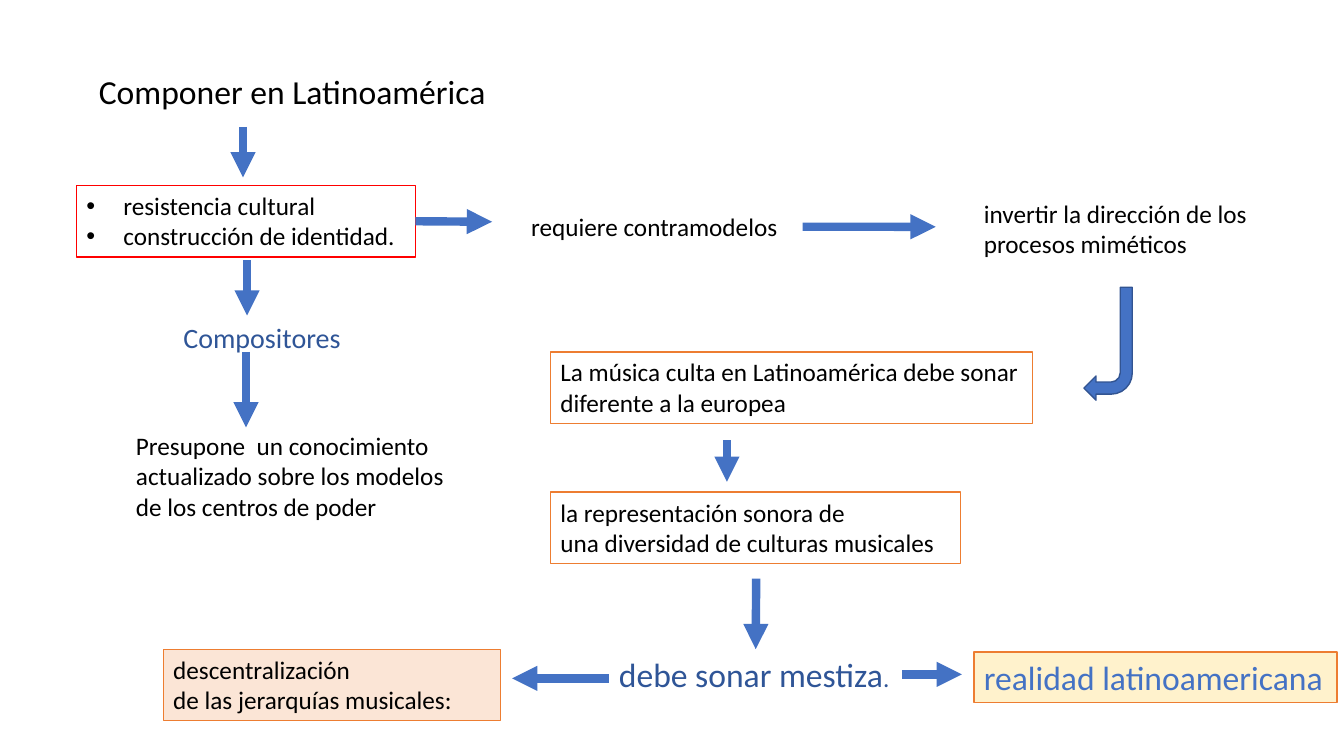
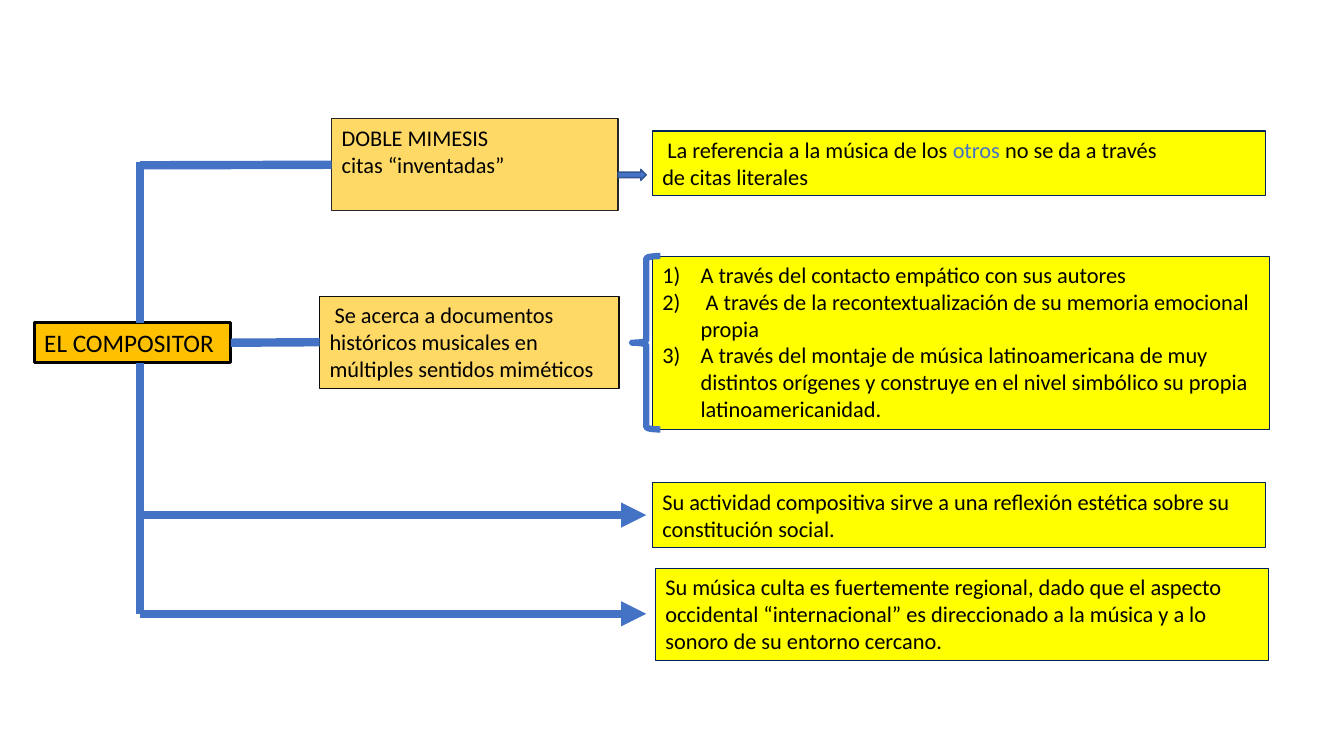
from dataclasses import dataclass
from typing import Optional

from lxml import etree
from pptx import Presentation
from pptx.dml.color import RGBColor
from pptx.enum import shapes, text
from pptx.oxml.ns import qn
from pptx.util import Inches, Pt

FONT = "Calibri"
BLACK, WHITE, BLUE, DARK_BLUE = "000000", "FFFFFF", "4472C4", "2F5597"
ARROW_EDGE, ORANGE, RED, NAVY = "325491", "ED7D31", "FF0000", "002060"
YELLOW, GOLD = "FFFF00", "FFD966"
TOP, LEFT, BOTTOM, RIGHT = range(4)
BULLET = ("buChar", "char", "•", 0.31)
NUMBER = ("buAutoNum", "type", "arabicParenR", 0.38)
TITLE_ONLY, BLANK = 5, 6


@dataclass
class Run:
    text: str
    color: str = BLACK
    size: Optional[int] = None


@dataclass
class Box:
    """A text block; each paragraph is a string or a list of runs."""
    name: str
    at: tuple
    paragraphs: list
    size: int = 18
    color: str = BLACK
    fill: Optional[str] = None
    line: Optional[str] = None
    width: float = 0.75
    wrap: bool = True
    marker: Optional[tuple] = None
    align: text.PP_ALIGN = text.PP_ALIGN.LEFT


@dataclass
class Link:
    """A line; begin and end may name a box and its side to join."""
    start: tuple
    stop: tuple
    begin: Optional[tuple] = None
    end: Optional[tuple] = None
    arrow: bool = True


@dataclass
class Ornament:
    kind: shapes.MSO_SHAPE
    at: tuple
    fill: Optional[str] = BLUE
    line: str = ARROW_EDGE
    width: float = 1
    rotation: int = 0


def rgb(color: str) -> RGBColor:
    return RGBColor.from_string(color)


def apply(target, **formats) -> None:
    for name, value in formats.items():
        setattr(target, name, value)


def paint(sp, fill: Optional[str], line: Optional[str], width: float) -> None:
    if fill:
        sp.fill.solid()
        sp.fill.fore_color.rgb = rgb(fill)
    else:
        sp.fill.background()
    if line:
        sp.line.color.rgb = rgb(line)
        sp.line.width = Pt(width)
    else:
        sp.line.fill.background()


def add_marker(p, marker: tuple) -> None:
    tag, attribute, value, indent = marker
    pPr = p._p.get_or_add_pPr()
    pPr.set("marL", str(Inches(indent)))
    pPr.set("indent", str(-Inches(indent)))
    if tag == "buChar":
        etree.SubElement(pPr, qn("a:buFont")).set("typeface", "Arial")
    etree.SubElement(pPr, qn("a:" + tag)).set(attribute, value)


def write(sp, box: Box) -> None:
    tf = sp.text_frame
    fit = text.MSO_AUTO_SIZE.NONE if box.wrap else text.MSO_AUTO_SIZE.SHAPE_TO_FIT_TEXT
    apply(tf, word_wrap=box.wrap, auto_size=fit, vertical_anchor=text.MSO_ANCHOR.TOP,
          margin_left=Inches(0.1), margin_right=Inches(0.1),
          margin_top=Inches(0.05), margin_bottom=Inches(0.05))
    for i, content in enumerate(box.paragraphs):
        p = tf.add_paragraph() if i else tf.paragraphs[0]
        p.alignment = box.align
        if box.marker:
            add_marker(p, box.marker)
        runs = [Run(content, box.color)] if isinstance(content, str) else content
        for run in runs:
            r = p.add_run()
            r.text = run.text
            apply(r.font, name=FONT, size=Pt(run.size or box.size))
            r.font.color.rgb = rgb(run.color)


def add_box(s, box: Box):
    at = [Inches(v) for v in box.at]
    if box.name == "title":
        sp = s.shapes.title
        apply(sp, **dict(zip(("left", "top", "width", "height"), at)))
    elif box.line:
        sp = s.shapes.add_shape(shapes.MSO_SHAPE.RECTANGLE, *at)
        sp.shadow.inherit = False
    else:
        sp = s.shapes.add_textbox(*at)
    paint(sp, box.fill, box.line, box.width)
    write(sp, box)
    return sp


def add_link(s, link: Link, drawn: dict) -> None:
    ends = [Inches(v) for v in link.start + link.stop]
    cn = s.shapes.add_connector(shapes.MSO_CONNECTOR.STRAIGHT, *ends)
    cn.line.color.rgb = rgb(BLUE)
    cn.line.width = Pt(6)
    if link.arrow:
        etree.SubElement(cn.line._get_or_add_ln(), qn("a:tailEnd")).set("type", "triangle")
    etree.SubElement(cn._element.spPr, qn("a:effectLst"))
    for join, target in ((cn.begin_connect, link.begin), (cn.end_connect, link.end)):
        if target:
            name, side = target
            join(drawn[name], side)


def add_ornament(s, item: Ornament) -> None:
    sp = s.shapes.add_shape(item.kind, *[Inches(v) for v in item.at])
    sp.shadow.inherit = False
    sp.rotation = item.rotation
    paint(sp, item.fill, item.line, item.width)


def build_slide(prs, layout: int, boxes: list, links: list, ornaments: list) -> None:
    s = prs.slides.add_slide(prs.slide_layouts[layout])
    drawn = {box.name: add_box(s, box) for box in boxes}
    for link in links:
        add_link(s, link, drawn)
    for item in ornaments:
        add_ornament(s, item)


def composing_slide(prs) -> None:
    boxes = [
        Box("title", (0.88, 0.65, 4.08, 0.5), ["Componer en Latinoamérica"], 24, wrap=False),
        Box("composers", (1.72, 3.13, 1.83, 0.44),
            [[Run("Compositores", DARK_BLUE), Run(" ", size=18)]], 20, wrap=False),
        Box("knowledge", (1.25, 4.22, 3.35, 1.01),
            ["Presupone  un conocimiento", "actualizado sobre los modelos",
             "de los centros de poder"], wrap=False),
        Box("resistance", (0.76, 1.84, 3.36, 0.71),
            [" resistencia cultural", " construcción de identidad."],
            line=RED, wrap=False, marker=BULLET),
        Box("countermodels", (5.17, 2.05, 2.79, 0.4), ["requiere contramodelos"], wrap=False),
        Box("inversion", (9.66, 1.92, 2.91, 0.71),
            ["invertir la dirección de los procesos miméticos"]),
        Box("different", (5.46, 3.49, 4.78, 0.71),
            ["La música culta en Latinoamérica debe sonar diferente a la europea"],
            fill=WHITE, line=ORANGE, width=1),
        Box("reality", (9.66, 6.47, 3.6, 0.5), ["realidad latinoamericana"], 24, BLUE,
            "FFF2CC", ORANGE, 1, wrap=False),
        Box("diversity", (5.46, 4.88, 4.07, 0.71),
            ["la representación sonora de", "una diversidad de culturas musicales"],
            fill=WHITE, line=ORANGE, width=1, wrap=False),
        Box("mestiza", (6.04, 6.44, 2.91, 0.5),
            [[Run("debe sonar mestiza", DARK_BLUE), Run(".", DARK_BLUE, 18)]], 24, wrap=False),
        Box("decentralised", (1.62, 6.44, 3.34, 0.71),
            ["descentralización", "de las jerarquías musicales:"],
            fill="FBE5D6", line=ORANGE),
    ]
    links = [
        Link((2.41, 1.26), (2.41, 1.76)),
        Link((2.45, 2.58), (2.45, 3.13)),
        Link((2.44, 3.49), (2.44, 4.24)),
        Link((4.12, 2.2), (4.88, 2.2), begin=("resistance", RIGHT)),
        Link((7.96, 2.25), (9.28, 2.25), begin=("countermodels", RIGHT)),
        Link((7.21, 4.37), (7.21, 4.78)),
        Link((7.5, 5.74), (7.5, 6.44), end=("mestiza", TOP)),
        Link((8.96, 6.69), (9.54, 6.69), begin=("mestiza", RIGHT)),
        Link((6.04, 6.73), (5.08, 6.73)),
    ]
    turn = Ornament(shapes.MSO_SHAPE.BENT_ARROW, (10.75, 2.85, 0.48, 1.12), rotation=180)
    build_slide(prs, TITLE_ONLY, boxes, links, [turn])


def composer_slide(prs) -> None:
    note = dict(size=16, fill=YELLOW, line=NAVY)
    boxes = [
        Box("reference", (6.47, 1.3, 6.08, 0.64),
            [[Run(" La referencia a la música de los "), Run("otros", BLUE),
              Run(" no se da a través")], "de citas literales"],
            align=text.PP_ALIGN.JUSTIFY, **note),
        Box("ways", (6.47, 2.54, 6.12, 1.72),
            ["A través del contacto empático con sus autores",
             " A través de la recontextualización de su memoria emocional propia",
             "A través del montaje de música latinoamericana de muy distintos orígenes "
             "y construye en el nivel simbólico su propia latinoamericanidad."],
            marker=NUMBER, **note),
        Box("reflection", (6.47, 4.79, 6.08, 0.64),
            ["Su actividad compositiva sirve a una reflexión estética sobre su",
             "constitución social."], **note),
        Box("regional", (6.5, 5.64, 6.08, 0.91),
            ["Su música culta es fuertemente regional, dado que el aspecto occidental "
             "“internacional” es direccionado a la música y a lo sonoro de su entorno "
             "cercano."], **note),
        Box("mimesis", (3.29, 1.18, 2.84, 0.91), ["DOBLE MIMESIS", "citas “inventadas”"],
            16, fill=GOLD, line="262626"),
        Box("documents", (3.17, 2.94, 2.97, 0.91),
            [" Se acerca a documentos", "históricos musicales en múltiples sentidos miméticos"],
            16, fill=GOLD, line="0D0D0D"),
        Box("composer", (0.34, 3.2, 1.95, 0.4), ["EL COMPOSITOR"],
            fill="FFC000", line=BLACK, width=2.25),
    ]
    trunk = 1.39
    links = [
        Link((trunk, 3.6), (trunk, 6.09), arrow=False),
        *[Link((trunk, y), (6.41, y)) for y in (5.11, 6.09)],
        Link((trunk, 3.2), (trunk, 1.61), arrow=False),
        Link((trunk, 1.64), (3.29, 1.63), end=("mimesis", LEFT), arrow=False),
        Link((2.3, 3.4), (3.17, 3.4), ("composer", RIGHT), ("documents", LEFT), False),
    ]
    ornaments = [
        Ornament(shapes.MSO_SHAPE.RIGHT_ARROW, (6.13, 1.68, 0.28, 0.11)),
        Ornament(shapes.MSO_SHAPE.LEFT_BRACE, (6.27, 2.54, 0.28, 1.72), None, BLUE, 4.5),
    ]
    build_slide(prs, BLANK, boxes, links, ornaments)


def main() -> None:
    prs = Presentation()
    apply(prs, slide_width=Inches(13.33), slide_height=Inches(7.5))
    composing_slide(prs)
    composer_slide(prs)
    prs.save("out.pptx")


if __name__ == "__main__":
    main()
